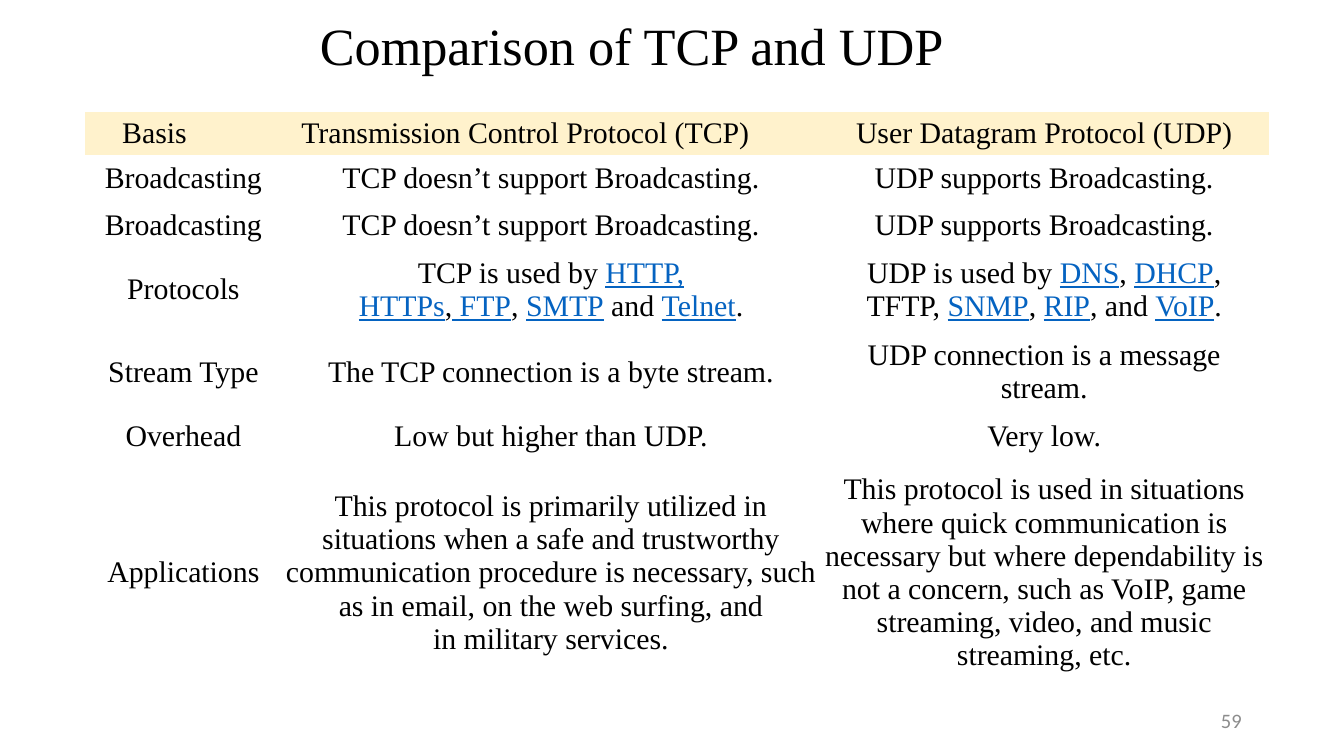
"""Build a slide that compares TCP and UDP in a table."""
import pptx
import pptx.util
import pptx.dml.color
import pptx.enum.text
from pptx.oxml.ns import qn

Inches = pptx.util.Inches
Pt = pptx.util.Pt
RGB = pptx.dml.color.RGBColor
ALIGN = pptx.enum.text.PP_ALIGN
MIDDLE = pptx.enum.text.MSO_ANCHOR.MIDDLE

BLACK = RGB(0x00, 0x00, 0x00)
GREY = RGB(0x8C, 0x8C, 0x8C)
BLUE = RGB(0x05, 0x63, 0xC1)
CREAM = RGB(0xFF, 0xF2, 0xCC)
SERIF = "Times New Roman"
NO_STYLE = "{2D5ABB26-0587-4C30-8999-92F81FD0307C}"
TIE = chr(160)

TITLE = "Comparison of TCP and UDP"
NUMBER = "59"
LINKS = {"HTTP, HTTPs", "~FTP", "SMTP", "Telnet", "DNS", "DHCP", "SNMP", "RIP", "VoIP"}
CAST = ("Broadcasting", "TCP doesn’t support Broadcasting.", "UDP supports Broadcasting.")
ROWS = [
    ("Basis", "Transmission Control Protocol (TCP)", "User Datagram Protocol (UDP)"),
    CAST,
    CAST,
    (
        "Protocols",
        ["TCP is used by~", "HTTP, HTTPs", ",", "~FTP", ",~", "SMTP", "~and~", "Telnet", "."],
        ["UDP is used by~", "DNS", ",~", "DHCP", ", TFTP,~", "SNMP", ",~", "RIP", ", and~",
         "VoIP", "."],
    ),
    ("Stream Type", "The TCP connection is a byte stream.",
     "UDP connection is a message stream."),
    ("Overhead", "Low but higher than UDP.", "Very low."),
    (
        "Applications",
        "This protocol is primarily utilized in situations when a safe and trustworthy "
        "communication procedure is necessary, such as in email, on the web surfing, "
        "and in~military services.",
        "This protocol is used in situations where quick communication is necessary but "
        "where dependability is not a concern, such as VoIP, game streaming, video, "
        "and music streaming, etc.",
    ),
]
WIDTHS = [1.47, 4, 3.34]
HEIGHTS = [0.32, 0.33, 0.33, 0.6, 0.6, 0.34, 1.68]
HEAD_PAD = [0.45, 0.4, 0.02]


def write(frame, parts, size, font=SERIF, color=BLACK, align=ALIGN.CENTER):
    para = frame.paragraphs[0]
    para.alignment = align
    for part in parts:
        run = para.add_run()
        run.text = part.replace("~", TIE)
        link = part in LINKS
        run.font.size = Pt(size)
        run.font.name = font
        run.font.bold = False
        run.font.underline = link
        run.font.color.rgb = BLUE if link else color


def add_text(slide, box, text, size, **look):
    frame = slide.shapes.add_textbox(*map(Inches, box)).text_frame
    frame.word_wrap = True
    write(frame, [text], size, **look)
    return frame


def add_grid(slide):
    shape = slide.shapes.add_table(
        len(ROWS), len(WIDTHS), Inches(0.63), Inches(0.83),
        Inches(sum(WIDTHS)), Inches(sum(HEIGHTS)))
    table = shape.table
    table.first_row = table.horz_banding = False
    next(shape._element.iter(qn("a:tableStyleId"))).text = NO_STYLE
    for col, width in zip(table.columns, WIDTHS):
        col.width = Inches(width)
    for r, (row, height) in enumerate(zip(ROWS, HEIGHTS)):
        table.rows[r].height = Inches(height)
        for c, item in enumerate(row):
            cell = table.cell(r, c)
            cell.vertical_anchor = MIDDLE
            cell.margin_left = Inches(0.02)
            cell.margin_right = Inches(0.02 if r else HEAD_PAD[c])
            cell.margin_top = cell.margin_bottom = Inches(0.04 if r else 0.03)
            if r:
                cell.fill.background()
            else:
                cell.fill.solid()
                cell.fill.fore_color.rgb = CREAM
            write(cell.text_frame, [item] if isinstance(item, str) else item, 16)


def main():
    deck = pptx.Presentation()
    deck.slide_width, deck.slide_height = Inches(10), Inches(5.625)
    slide = deck.slides.add_slide(deck.slide_layouts[6])
    page = add_text(slide, (7.06, 5.21, 2.25, 0.3), NUMBER, 11,
                    font="Calibri", color=GREY, align=ALIGN.RIGHT)
    page.vertical_anchor = MIDDLE
    page.margin_left = page.margin_right = Inches(0.07)
    page.margin_top = page.margin_bottom = Inches(0.04)
    add_text(slide, (0.63, 0.05, 8.14, 0.57), TITLE, 28)
    add_grid(slide)
    deck.save("out.pptx")


if __name__ == "__main__":
    main()
